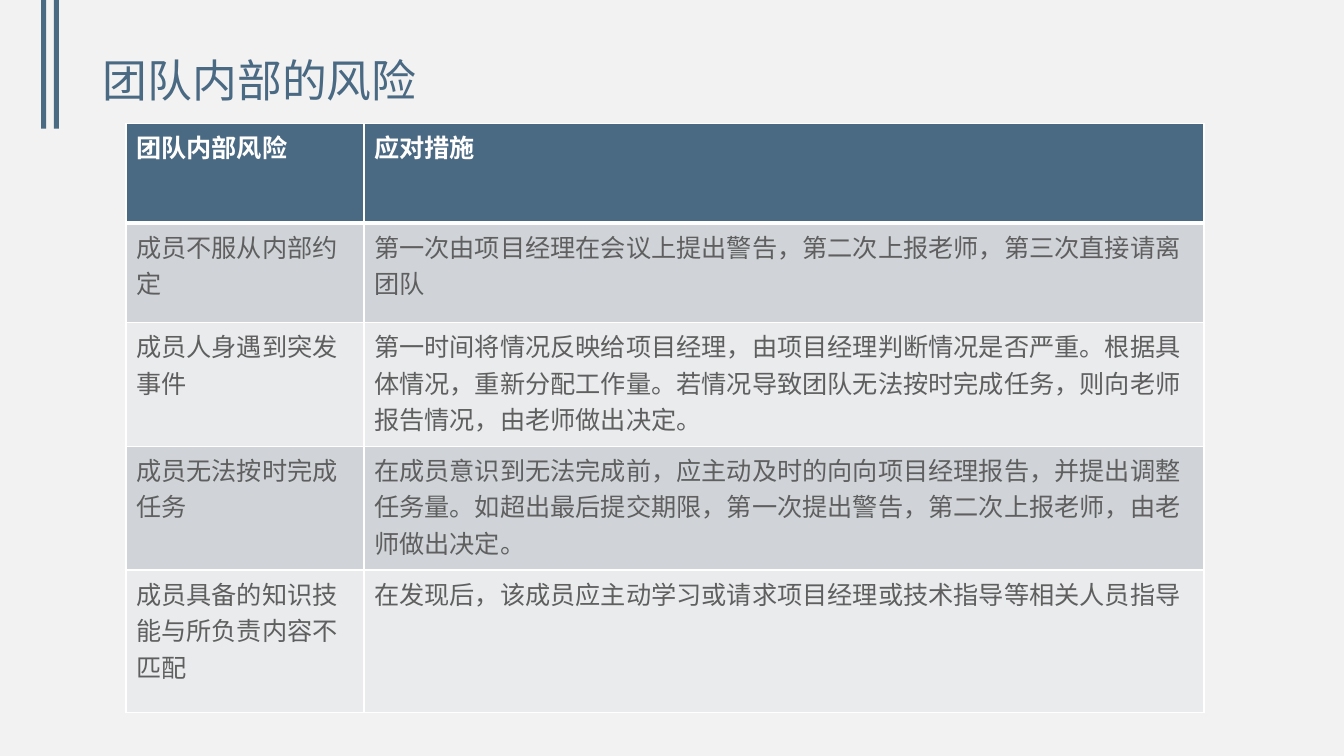
from lxml.etree import SubElement
from pptx import Presentation
from pptx.dml.color import RGBColor
from pptx.enum.lang import MSO_LANGUAGE_ID as Lang
from pptx.enum.shapes import MSO_SHAPE as Shape
from pptx.enum.text import MSO_ANCHOR as Anchor, PP_ALIGN as Align
from pptx.oxml.ns import qn
from pptx.util import Pt

BLUE, WHITE, GREY = "4A6982", "FFFFFF", "5F5F5F"
BANDS = ["D0D4D8", "E9EBED"]
WIDTHS = [170, 600]
HEIGHTS = [71, 71, 88.5, 88.5, 101.5]
ROWS = [
    ("团队内部风险", "应对措施"),
    ("成员不服从内部约定",
     "第一次由项目经理在会议上提出警告，第二次上报老师，第三次直接请离团队"),
    ("成员人身遇到突发事件",
     "第一时间将情况反映给项目经理，由项目经理判断情况是否严重。"
     "根据具体情况，重新分配工作量。若情况导致团队无法按时完成任务，"
     "则向老师报告情况，由老师做出决定。"),
    ("成员无法按时完成任务",
     "在成员意识到无法完成前，应主动及时的向向项目经理报告，"
     "并提出调整任务量。如超出最后提交期限，第一次提出警告，"
     "第二次上报老师，由老师做出决定。"),
    ("成员具备的知识技能与所负责内容不匹配",
     "在发现后，该成员应主动学习或请求项目经理或技术指导等相关人员指导"),
]


def paint(fill, color):
    fill.solid()
    fill.fore_color.rgb = RGBColor.from_string(color)


def write(frame, text, size, color, bold=False):
    frame.text = text
    font = frame.paragraphs[0].runs[0].font
    font.name, font.size, font.bold = "Arial", Pt(size), bold
    font.language_id = Lang.SIMPLIFIED_CHINESE
    paint(font.fill, color)


def add_bar(slide, left):
    bar = slide.shapes.add_shape(Shape.RECTANGLE, Pt(left), 0, Pt(3.6), Pt(92))
    bar.shadow.inherit = False
    paint(bar.fill, BLUE)
    bar.line.fill.background()


def set_title(slide, text):
    title = slide.shapes.title
    title.left, title.top = Pt(66.2), Pt(31)
    title.width, title.height = Pt(828), Pt(57)
    frame = title.text_frame
    frame.vertical_anchor = Anchor.MIDDLE
    write(frame, text, 32, BLUE)
    frame.paragraphs[0].alignment = Align.LEFT
    frame.paragraphs[0].line_spacing = 0.9


def add_edge(cell, side, width):
    props = cell._tc.get_or_add_tcPr()
    edge = SubElement(props, qn(f"a:ln{side}"), w=str(Pt(width)))
    fill = SubElement(edge, qn("a:solidFill"))
    SubElement(fill, qn("a:srgbClr"), val=WHITE)


def style_cell(cell, text, row):
    head = row == 0
    for side in "LRTB":
        thick = (head and side == "B") or (row == 1 and side == "T")
        add_edge(cell, side, 3 if thick else 1)
    paint(cell.fill, BLUE if head else BANDS[(row - 1) % 2])
    write(cell.text_frame, text, 18, WHITE if head else GREY, head)


def add_grid(slide):
    frame = slide.shapes.add_table(len(ROWS), len(WIDTHS), Pt(90), Pt(88.2),
                                   Pt(sum(WIDTHS)), Pt(sum(HEIGHTS)))
    table = frame.table
    for column, width in zip(table.columns, WIDTHS):
        column.width = Pt(width)
    for row, texts in enumerate(ROWS):
        table.rows[row].height = Pt(HEIGHTS[row])
        for col, text in enumerate(texts):
            style_cell(table.cell(row, col), text, row)


def main():
    deck = Presentation()
    deck.slide_width, deck.slide_height = Pt(960), Pt(540)
    slide = deck.slides.add_slide(deck.slide_layouts[5])
    paint(slide.background.fill, "F2F2F2")
    for left in (29.4, 38.4):
        add_bar(slide, left)
    set_title(slide, "团队内部的风险")
    add_grid(slide)
    deck.save("out.pptx")


if __name__ == "__main__":
    main()
